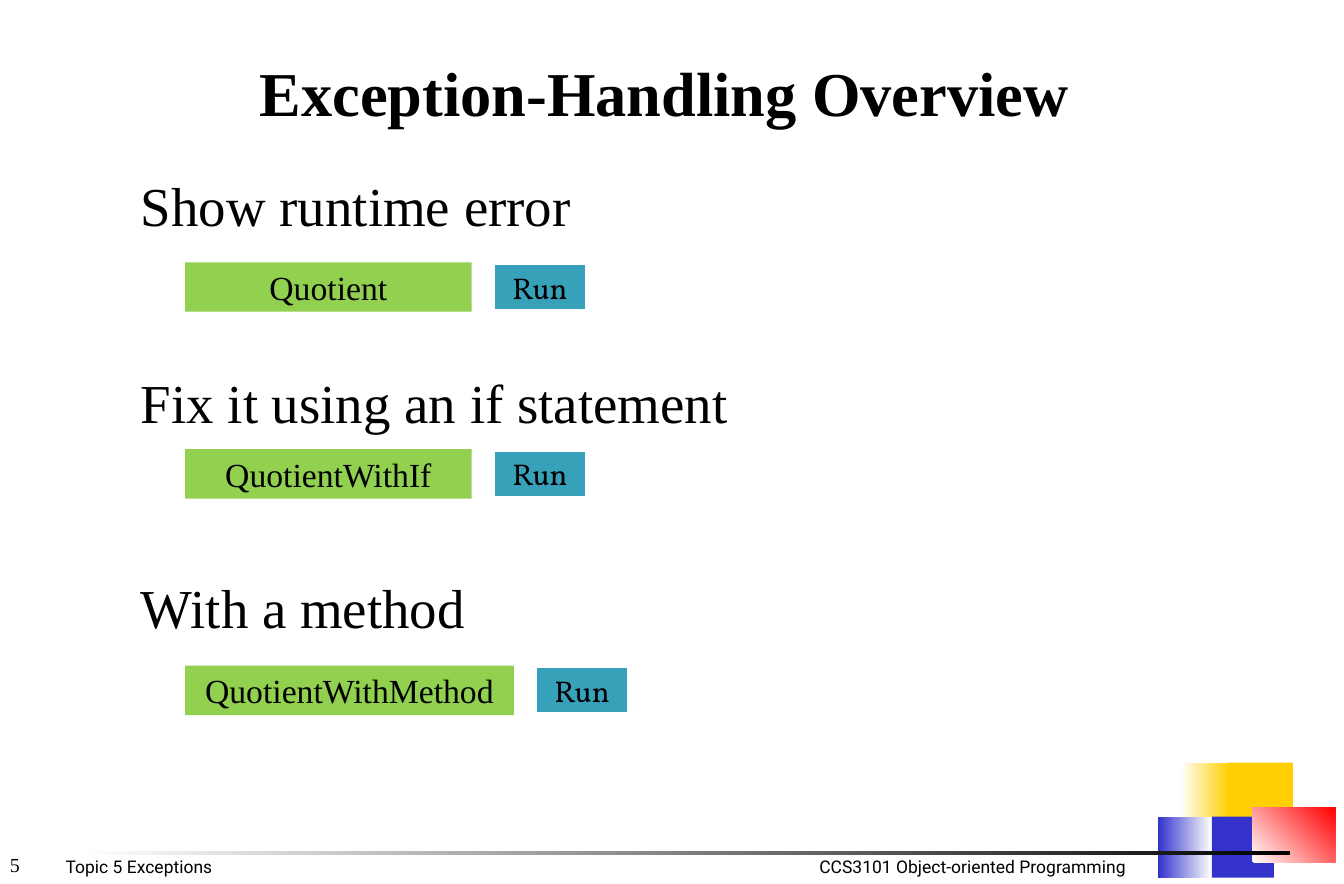
from dataclasses import dataclass

from lxml.etree import SubElement
from pptx import Presentation
from pptx.dml.color import RGBColor
from pptx.enum.shapes import MSO_SHAPE
from pptx.enum.text import MSO_ANCHOR, PP_ALIGN
from pptx.oxml.ns import qn
from pptx.util import Pt

PX = 9144


@dataclass(frozen=True)
class Theme:
    """Colours, fonts and type sizes of the deck."""
    black: str = "000000"
    number: str = "080808"
    white: str = "FFFFFF"
    yellow: str = "FFCF01"
    blue: str = "3333CC"
    red: str = "FF0000"
    green: str = "92D050"
    teal: str = "38A1BA"
    serif: str = "Times New Roman"
    sans: str = "Roboto"
    button: str = "Vollkorn"
    title_size: int = 50
    heading_size: int = 44
    label_size: int = 27
    run_size: int = 24
    number_size: int = 16
    footer_size: int = 14


class Deck:
    """Holds the theme and the current slide and draws each kind of element."""

    def __init__(self, prs, theme):
        """Add a blank slide."""
        self.theme = theme
        self.s = prs.slides.add_slide(prs.slide_layouts[6])

    def put_text(self, sp, text, size, font, color=None, bold=False, align=PP_ALIGN.LEFT,
                 anchor=MSO_ANCHOR.TOP, inset=(10, 5), wrap=True, tab=None):
        """Fill a shape with one line of styled text."""
        tf = sp.text_frame
        tf.word_wrap = wrap
        tf.vertical_anchor = anchor
        tf.margin_left = tf.margin_right = inset[0] * PX
        tf.margin_top = tf.margin_bottom = inset[1] * PX
        p = tf.paragraphs[0]
        p.alignment = align
        if tab is not None:
            tabs = SubElement(p._p.get_or_add_pPr(), qn("a:tabLst"))
            SubElement(tabs, qn("a:tab"), pos=str(tab * PX), algn="l")
        r = p.add_run()
        r.text = text
        r.font.size = Pt(size)
        r.font.name = font
        r.font.bold = bold
        r.font.color.rgb = RGBColor.from_string(color or self.theme.black)

    def text(self, box, *args, **kwargs):
        """Add a text box."""
        sp = self.s.shapes.add_textbox(*(v * PX for v in box))
        self.put_text(sp, *args, **kwargs)

    def block(self, box, *colors, angle=0, kind=MSO_SHAPE.RECTANGLE):
        """Add a borderless shape, solid for one colour and a gradient for two."""
        sp = self.s.shapes.add_shape(kind, *(v * PX for v in box))
        sp.shadow.inherit = False
        sp.line.fill.background()
        if len(colors) == 1:
            sp.fill.solid()
            sp.fill.fore_color.rgb = RGBColor.from_string(colors[0])
        else:
            sp.fill.gradient()
            sp.fill.gradient_angle = angle
            for stop, position, color in zip(sp.fill.gradient_stops, (0, 1), colors):
                stop.position = position
                stop.color.rgb = RGBColor.from_string(color)
        return sp

    def footer(self, number, topic, course):
        """Add the slide number, the coloured squares, the rule and the footer line."""
        t = self.theme
        self.text((0, 916, 312, 66), number, t.number_size, t.serif, t.number,
                  anchor=MSO_ANCHOR.BOTTOM, inset=(11, 6))
        self.block((1314, 849, 54, 68), t.white, t.yellow)
        self.block((1289, 909, 60, 68), t.blue, t.white)
        self.block((1367, 849, 72, 68), t.yellow)
        self.block((1349, 909, 69, 68), t.blue)
        self.block((1394, 899, 92, 61), t.white, t.red, angle=45)
        self.block((90, 947, 1346, 5), t.white, t.black)
        self.text((62, 947, 1373, 35), f"{topic}\t{course}", t.footer_size, t.sans,
                  inset=(11, 6), tab=839)

    def title(self, text):
        """Add the centred slide title."""
        t = self.theme
        self.text((136, 55, 1225, 88), text, t.title_size, t.serif, bold=True,
                  align=PP_ALIGN.CENTER)

    def example(self, heading, heading_y, name, y, width):
        """Add a heading with its program label and Run button."""
        t = self.theme
        left, gap = 206, 26
        self.text((147, heading_y, 1225, 84), heading, t.heading_size, t.serif)
        run = self.block((left + width + gap, y + 3, 100, 49), t.teal,
                         kind=MSO_SHAPE.ACTION_BUTTON_CUSTOM)
        self.put_text(run, "Run", t.run_size, t.button, align=PP_ALIGN.CENTER,
                      anchor=MSO_ANCHOR.MIDDLE, wrap=False)
        label = self.block((left, y, width, 55), t.green)
        self.put_text(label, name, t.label_size, t.serif, align=PP_ALIGN.CENTER)


def main():
    """Build the slide and save it."""
    prs = Presentation()
    prs.slide_width, prs.slide_height = 1496 * PX, 984 * PX
    deck = Deck(prs, Theme())
    deck.footer("5", "Topic 5 Exceptions", "CCS3101 Object-oriented Programming")
    deck.title("Exception-Handling Overview ")
    for row in (
        ("Show runtime error", 186, "Quotient", 292, 319),
        ("Fix it using an if statement", 405, "QuotientWithIf", 500, 319),
        ("With a method", 634, "QuotientWithMethod", 741, 366),
    ):
        deck.example(*row)
    prs.save("out.pptx")


if __name__ == "__main__":
    main()
